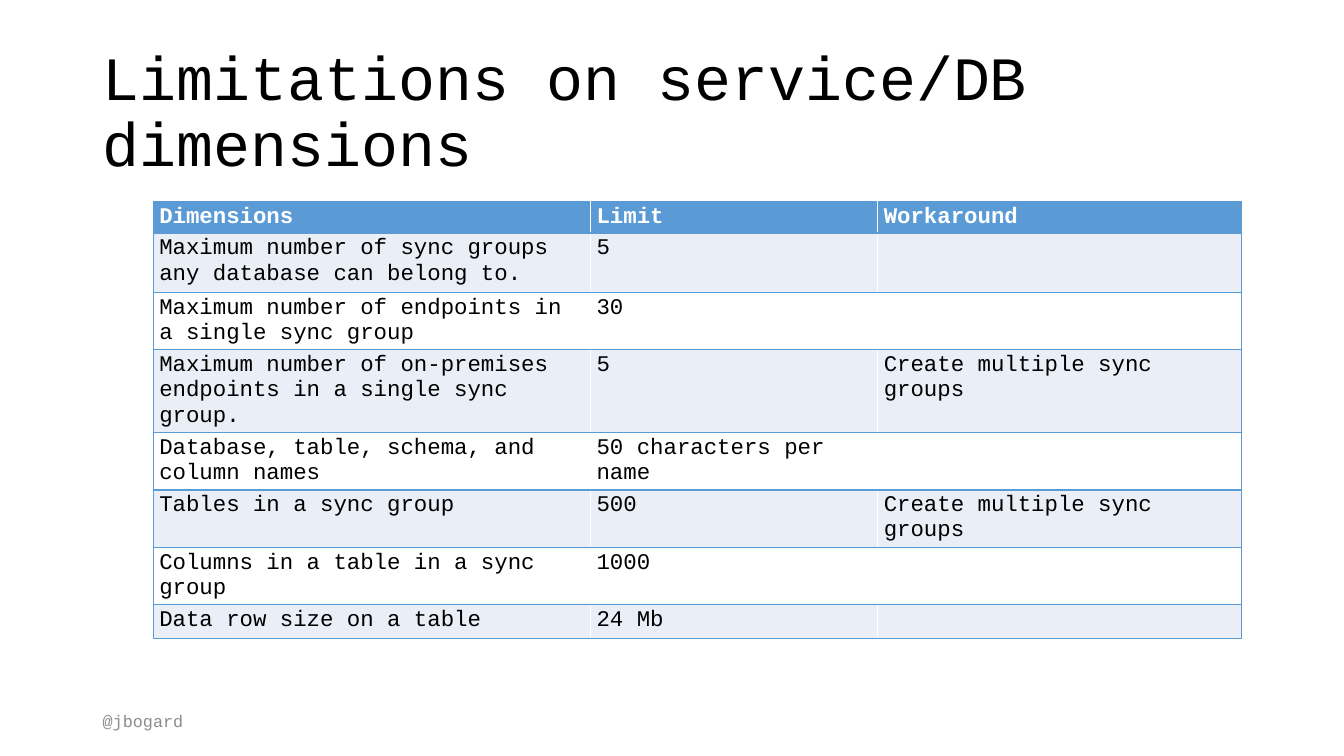
from dataclasses import dataclass

from lxml.etree import SubElement
from pptx import Presentation
from pptx.dml.color import RGBColor
from pptx.enum.text import MSO_ANCHOR, MSO_AUTO_SIZE, PP_ALIGN
from pptx.oxml.ns import qn
from pptx.util import Inches, Pt


@dataclass(frozen=True)
class Theme:
    font: str = "Courier New"
    text: str = "000000"
    header_text: str = "FFFFFF"
    muted: str = "8C8C8C"
    accent: str = "5B9BD5"
    bands: tuple = ("EAEFF7", "FFFFFF")
    title_size: int = 44
    table_size: int = 16
    footer_size: int = 12
    border_width: int = 1


THEME = Theme()
TITLE_BOX = (0.92, 0.4, 11.5, 1.45)
TABLE_BOX = (1.52, 2, 10.79, 4.32)
FOOTER_BOX = (0.92, 6.95, 3, 0.4)
COLUMN_SHARES = (0.402, 0.264, 0.334)
ROW_HEIGHTS = (0.31, 0.59, 0.57, 0.82, 0.57, 0.57, 0.57, 0.32)
LIMITS = (
    ("Dimensions", "Limit", "Workaround"),
    ("Maximum number of sync groups any database can belong to.", "5", ""),
    ("Maximum number of endpoints in a single sync group", "30", ""),
    ("Maximum number of on-premises endpoints in a single sync group.", "5",
     "Create multiple sync groups"),
    ("Database, table, schema, and column names", "50 characters per name", ""),
    ("Tables in a sync group", "500", "Create multiple sync groups"),
    ("Columns in a table in a sync group", "1000", ""),
    ("Data row size on a table", "24 Mb", ""),
)


def add_text(paragraph, text, size, color, bold=False):
    run = paragraph.add_run()
    run.text = text
    run.font.name = THEME.font
    run.font.size = Pt(size)
    run.font.bold = bold
    run.font.color.rgb = RGBColor.from_string(color)


def fill_text_box(shape, text, size, color):
    frame = shape.text_frame
    frame.word_wrap = True
    frame.auto_size = MSO_AUTO_SIZE.NONE
    frame.vertical_anchor = MSO_ANCHOR.MIDDLE
    paragraph = frame.paragraphs[0]
    paragraph.alignment = PP_ALIGN.LEFT
    add_text(paragraph, text, size, color)
    return paragraph


def add_title(slide, box, text):
    title = slide.shapes.title
    title.left, title.top, title.width, title.height = map(Inches, box)
    fill_text_box(title, text, THEME.title_size, THEME.text).line_spacing = 0.9


def add_footer(slide, box, text):
    footer = slide.shapes.add_textbox(*map(Inches, box))
    fill_text_box(footer, text, THEME.footer_size, THEME.muted)


def add_borders(cell, sides):
    properties = cell._tc.get_or_add_tcPr()
    for side in sides:
        line = SubElement(properties, qn(f"a:ln{side}"), w=str(Pt(THEME.border_width)))
        fill = SubElement(line, qn("a:solidFill"))
        SubElement(fill, qn("a:srgbClr"), val=THEME.accent)


def format_cell(cell, text, is_header, fill, sides):
    cell.margin_left = cell.margin_right = Inches(0.06)
    cell.margin_top = cell.margin_bottom = Inches(0.03)
    add_borders(cell, sides)
    cell.fill.solid()
    cell.fill.fore_color.rgb = RGBColor.from_string(fill)
    paragraph = cell.text_frame.paragraphs[0]
    if text:
        color = THEME.header_text if is_header else THEME.text
        add_text(paragraph, text, THEME.table_size, color, is_header)
    else:
        # The end mark sets the line height of an empty cell.
        SubElement(paragraph._p, qn("a:endParaRPr"), sz=str(THEME.table_size * 100))


def add_limits_table(slide, box, rows):
    frame = slide.shapes.add_table(len(rows), len(COLUMN_SHARES), *map(Inches, box))
    table = frame.table
    for column, share in zip(table.columns, COLUMN_SHARES):
        column.width = Inches(box[2] * share)
    for row, height in zip(table.rows, ROW_HEIGHTS):
        row.height = Inches(height)

    last_column = len(COLUMN_SHARES) - 1
    for row_index, values in enumerate(rows):
        is_header = row_index == 0
        fill = THEME.accent if is_header else THEME.bands[(row_index - 1) % 2]
        for column_index, text in enumerate(values):
            sides = {0: "LTB", last_column: "RTB"}.get(column_index, "TB")
            format_cell(table.cell(row_index, column_index), text, is_header, fill, sides)


def main():
    presentation = Presentation()
    presentation.slide_width = Inches(13.33)
    presentation.slide_height = Inches(7.5)
    title_only = presentation.slide_layouts.get_by_name("Title Only")
    slide = presentation.slides.add_slide(title_only)
    add_title(slide, TITLE_BOX, "Limitations on service/DB dimensions")
    add_limits_table(slide, TABLE_BOX, LIMITS)
    add_footer(slide, FOOTER_BOX, "@jbogard")
    presentation.save("out.pptx")


if __name__ == "__main__":
    main()
